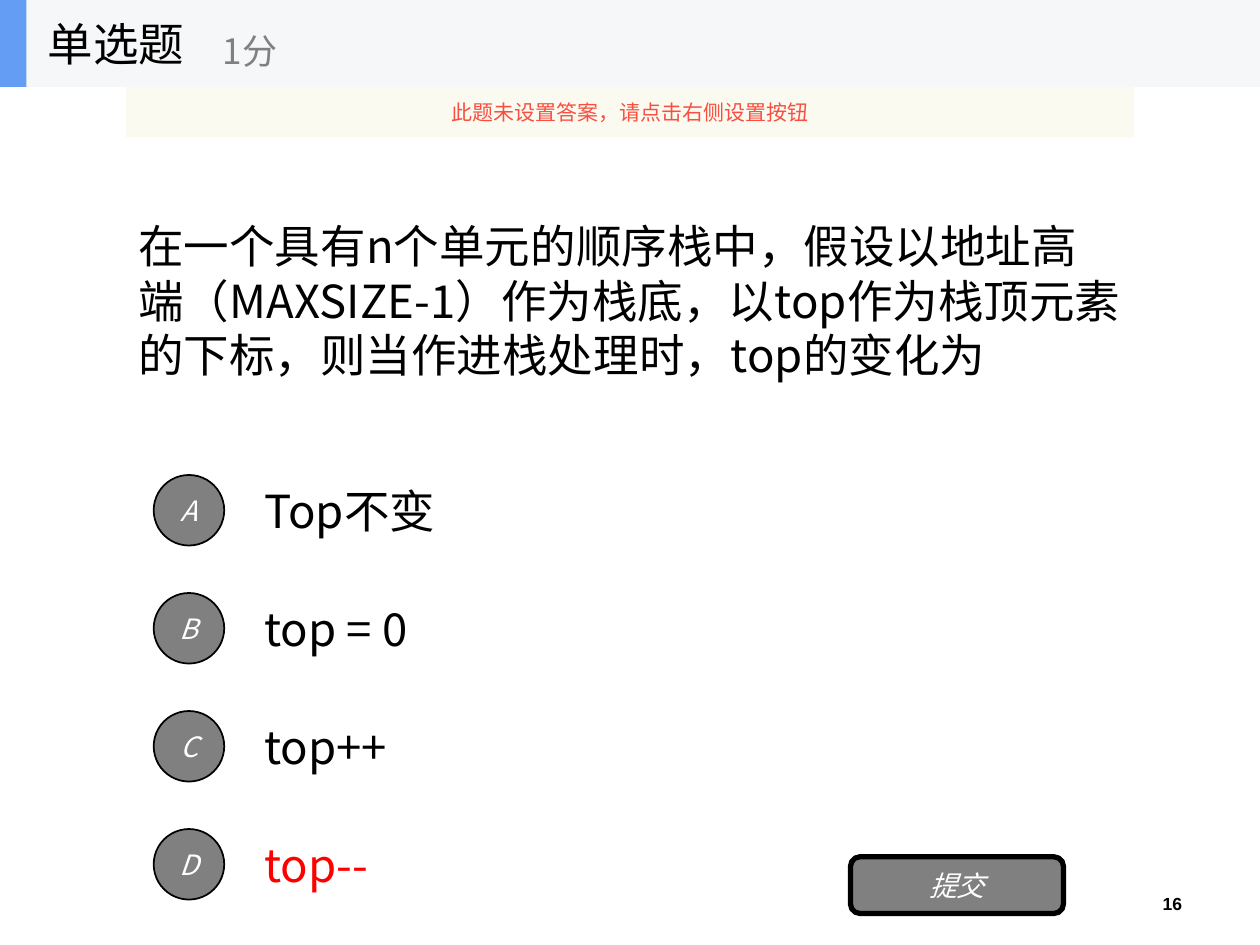
from pptx import Presentation
from pptx.dml.color import RGBColor
from pptx.enum import shapes, text
from pptx.oxml import ns
from pptx.util import Inches, Pt
from lxml import etree

CJK_FONT = "Noto Sans CJK SC"
BLACK, GREY, WHITE = "000000", "808080", "FFFFFF"
LEFT, CENTER, RIGHT = text.PP_ALIGN.LEFT, text.PP_ALIGN.CENTER, text.PP_ALIGN.RIGHT
OPTIONS = [("A", "Top不变", BLACK), ("B", "top = 0", BLACK),
           ("C", "top++", BLACK), ("D", "top--", "FF0000")]


def color(hex_string):
    return RGBColor.from_string(hex_string)


def write(shape, words, size, ink, align=LEFT, font=CJK_FONT, bold=False, italic=False):
    frame = shape.text_frame
    frame.text = words
    frame.word_wrap = True
    frame.auto_size = text.MSO_AUTO_SIZE.NONE
    frame.vertical_anchor = text.MSO_ANCHOR.MIDDLE
    para = frame.paragraphs[0]
    para.alignment = align
    for span in para.runs:
        span.font.size = Pt(size)
        span.font.name = font
        span.font.bold = bold
        span.font.italic = italic
        span.font.color.rgb = color(ink)
        east_asian = etree.SubElement(span.font._element, ns.qn("a:ea"))
        east_asian.set("typeface", font)
    return para


def add_label(page, box, words, size, ink, **style):
    label = page.shapes.add_textbox(*map(Inches, box))
    return write(label, words, size, ink, **style)


def add_block(page, kind, box, fill, line_width=0):
    block = page.shapes.add_shape(kind, *map(Inches, box))
    block.shadow.inherit = False
    block.fill.solid()
    block.fill.fore_color.rgb = color(fill)
    if line_width:
        block.line.color.rgb = color(BLACK)
        block.line.width = Pt(line_width)
    else:
        block.line.fill.background()
    return block


def add_button(page, kind, box, words, line_width):
    button = add_block(page, kind, box, GREY, line_width)
    write(button, words, 16, WHITE, align=CENTER, italic=True)
    frame = button.text_frame
    frame.margin_left = frame.margin_right = 0
    frame.margin_top = frame.margin_bottom = 0


def add_header(page, box):
    left, top, width, height = box
    rectangle = shapes.MSO_SHAPE.RECTANGLE
    add_block(page, rectangle, box, "F6F7F8")
    add_block(page, rectangle, (left, top, 0.21, height), "639EF4")

    title = page.shapes.title
    title.left, title.top = Inches(left + 0.28), Inches(top)
    title.width, title.height = Inches(2.08), Inches(height)
    write(title, "单选题", 26, BLACK)
    page.shapes._spTree.append(title._element)  # in front of the header bars

    add_label(page, (left + 1.67, top + 0.12, 2.5, 0.56), "1分", 20, GREY)


def add_notice(page, box):
    notice = add_block(page, shapes.MSO_SHAPE.RECTANGLE, box, "FBFAEF")
    fill_color = notice._element.spPr.find(".//" + ns.qn("a:srgbClr"))
    etree.SubElement(fill_color, ns.qn("a:alpha")).set("val", "90000")
    write(notice, "此题未设置答案，请点击右侧设置按钮", 12, "F84F41", align=CENTER)


def add_question(page, box):
    para = add_label(
        page, box,
        "在一个具有n个单元的顺序栈中，假设以地址高端（MAXSIZE-1）作为栈底，"
        "以top作为栈顶元素的下标，则当作进栈处理时，top的变化为", 26, BLACK)
    para.line_spacing = Pt(31.2)


def add_options(page, box):
    """Stack the options evenly, each a lettered circle and its answer."""
    left, top, width, height = box
    row_height, circle = 0.7, 0.56
    pitch = (height - row_height) / (len(OPTIONS) - 1)
    for index, (letter, answer, ink) in enumerate(OPTIONS):
        row_top = top + index * pitch
        add_button(page, shapes.MSO_SHAPE.OVAL,
                   (left, row_top + (row_height - circle) / 2, circle, circle), letter, 1)
        add_label(page, (left + 0.78, row_top, width - 0.78, row_height), answer, 26, ink)


def main():
    deck = Presentation()
    deck.slide_width, deck.slide_height = Inches(10), Inches(7.5)
    page = deck.slides.add_slide(deck.slide_layouts[5])

    add_header(page, (0, 0, 10, 0.69))
    add_notice(page, (1, 0.69, 8, 0.4))
    add_question(page, (1, 1.09, 8, 2.58))
    add_options(page, (1.22, 3.7, 3.23, 3.51))
    add_button(page, shapes.MSO_SHAPE.ROUNDED_RECTANGLE, (6.75, 6.8, 1.69, 0.45), "提交", 3)
    add_label(page, (7.91, 7.06, 1.57, 0.22), "16", 10, BLACK,
              align=RIGHT, font="Arial", bold=True)
    deck.save("out.pptx")


if __name__ == "__main__":
    main()
